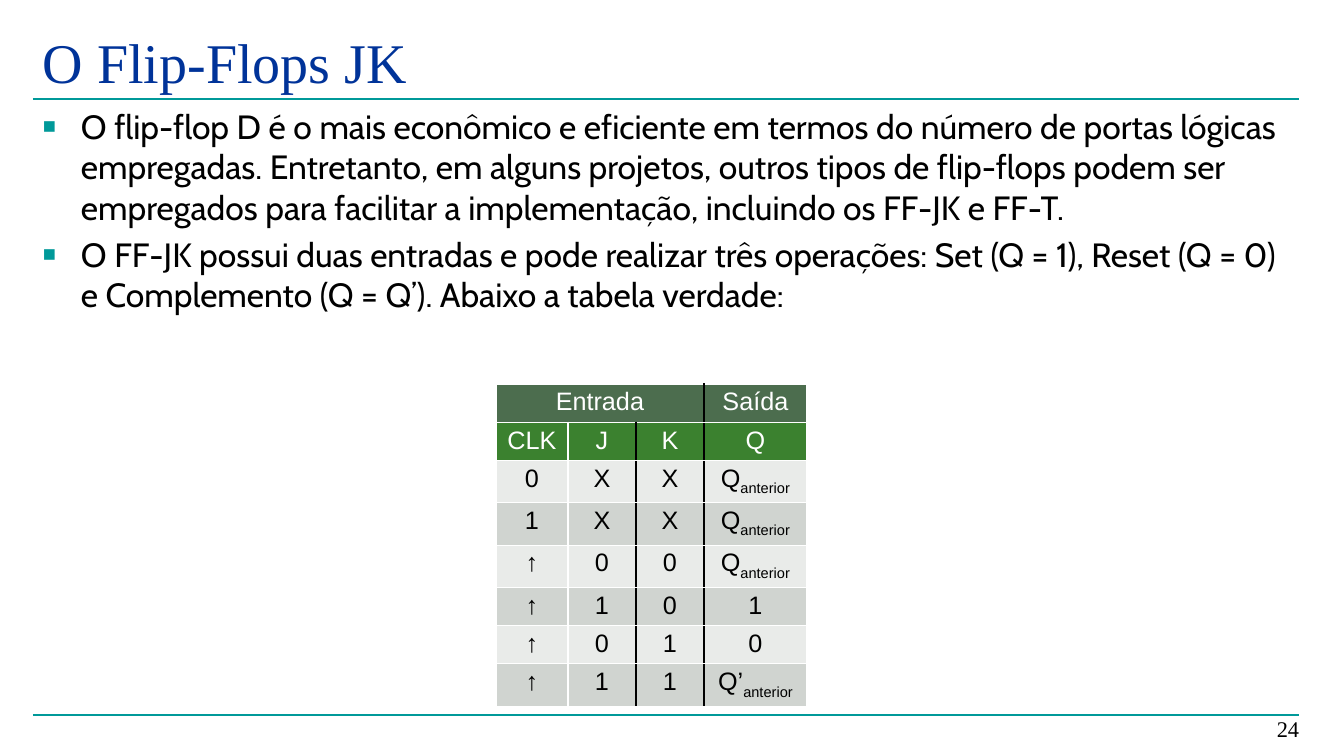
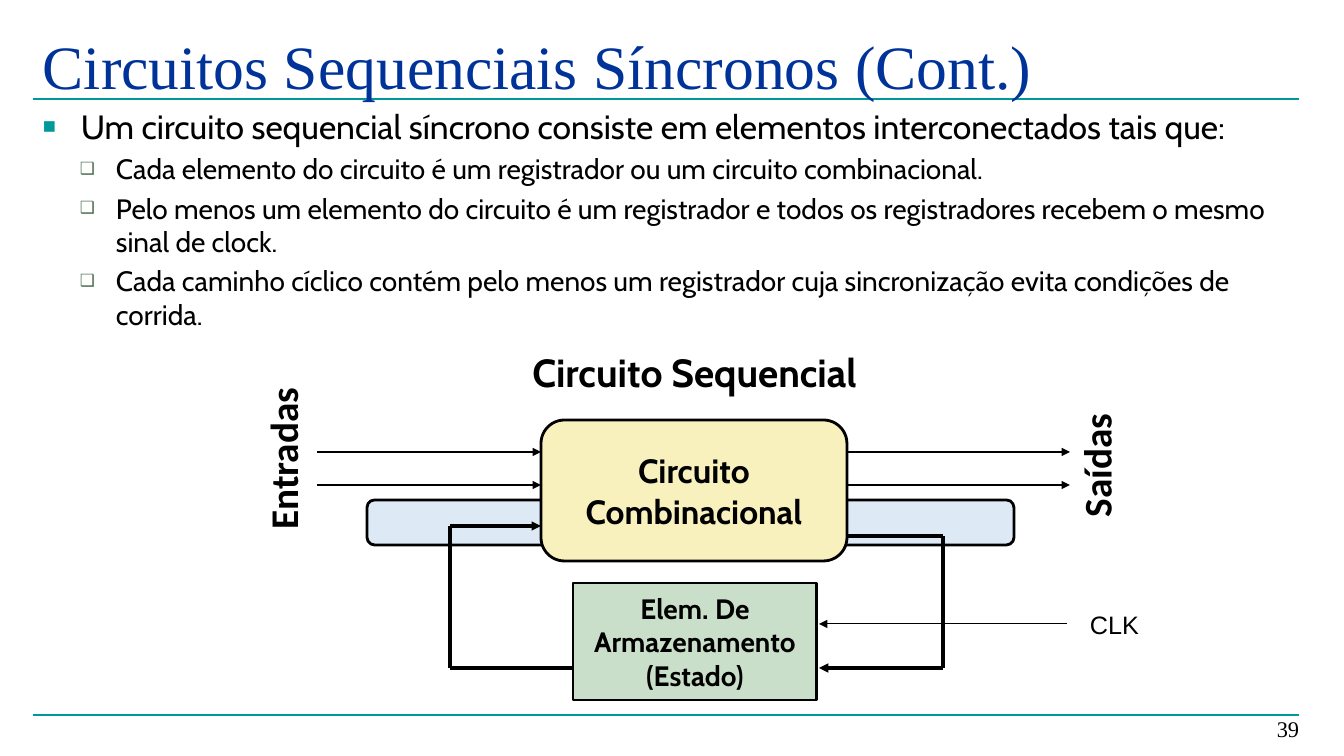
from lxml import etree
from pptx import Presentation
from pptx import util as u
from pptx.dml.color import RGBColor
from pptx.enum import shapes, text
from pptx.oxml import ns

SCALE = 914400 / 100.8
COLORS = {
    "black": "000000", "white": "FFFFFF", "teal": "009999", "navy": "003399",
    "moss": "4C6D4E", "green": "3B812F", "light": "E9EBE9", "gray": "D0D4D0",
    "blue": "DEE9F6", "yellow": "F8F0BD", "mint": "C9DFC9",
}
CENTER, RIGHT, LEFT = text.PP_ALIGN.CENTER, text.PP_ALIGN.RIGHT, text.PP_ALIGN.LEFT
TOP, MIDDLE, BOTTOM = text.MSO_ANCHOR.TOP, text.MSO_ANCHOR.MIDDLE, text.MSO_ANCHOR.BOTTOM


def write(shape, lines, font, size, color="black", bold=False, align=LEFT, anchor=TOP, wrap=True):
    frame = shape.text_frame
    frame.word_wrap = wrap
    frame.vertical_anchor = anchor
    frame.text = "\n".join(lines)
    for paragraph in frame.paragraphs:
        paragraph.alignment = align
        paragraph.font.name = font
        paragraph.font.size = u.Pt(size)
        paragraph.font.bold = bold
        paragraph.font.color.rgb = RGBColor.from_string(COLORS[color])


def draw_line(slide, points, width, color="black", arrow=False):
    line = slide.shapes.add_connector(
        shapes.MSO_CONNECTOR.STRAIGHT, *[round(value * SCALE) for value in points])
    line.line.width = u.Pt(width)
    line.line.color.rgb = RGBColor.from_string(COLORS[color])
    if arrow:
        etree.SubElement(line.line._get_or_add_ln(), ns.qn("a:tailEnd"), type="triangle")
    etree.SubElement(line._element.spPr, ns.qn("a:effectLst"))


presentation = Presentation()
presentation.slide_width = round(1344 * SCALE)
presentation.slide_height = round(756 * SCALE)

BULLETS = [
    {"char": "■", "color": "teal", "percent": 65, "margin": 38, "hang": 38, "size": 24},
    {"char": "❑", "color": "moss", "percent": 60, "margin": 73, "hang": 36, "size": 20},
]
PAGES = [
    ("O Flip-Flops JK", 40, "24", 1276, [
        (0, "O flip-flop D é o mais econômico e eficiente em termos do número de portas lógicas "
            "empregadas. Entretanto, em alguns projetos, outros tipos de flip-flops podem ser "
            "empregados para facilitar a implementação, incluindo os FF-JK e FF-T."),
        (0, "O FF-JK possui duas entradas e pode realizar três operações: Set (Q = 1), "
            "Reset (Q = 0) e Complemento (Q = Q’). Abaixo a tabela verdade:"),
    ]),
    ("Circuitos Sequenciais Síncronos (Cont.)", 44, "39", 1266, [
        (0, "Um circuito sequencial síncrono consiste em elementos interconectados tais que:"),
        (1, "Cada elemento do circuito é um registrador ou um circuito combinacional."),
        (1, "Pelo menos um elemento do circuito é um registrador e todos os registradores "
            "recebem o mesmo sinal de clock."),
        (1, "Cada caminho cíclico contém pelo menos um registrador cuja sincronização evita "
            "condições de corrida."),
    ]),
]

slides = []
for title, title_size, number, body_width, items in PAGES:
    slide = presentation.slides.add_slide(presentation.slide_layouts[6])
    slides.append(slide)
    for y in (715, 99):
        draw_line(slide, (33, y, 1299, y), 1.5, "teal")
    title_box, body_box, number_box = [
        slide.shapes.add_textbox(*[round(value * SCALE) for value in box])
        for box in ((33, 17, 1266, 80), (33, 101, body_width, 240), (996, 697, 313, 50))]
    title_box.text_frame.margin_top = round(11 * SCALE)
    write(title_box, [title], "Times New Roman", title_size, "navy")
    write(number_box, [number], "Times New Roman", 16, align=RIGHT, anchor=BOTTOM)

    body_box.text_frame.word_wrap = True
    for index, (level, sentence) in enumerate(items):
        bullet = BULLETS[level]
        frame = body_box.text_frame
        paragraph = frame.add_paragraph() if index else frame.paragraphs[0]
        paragraph.text = sentence
        paragraph.level = level
        properties = paragraph._p.get_or_add_pPr()
        properties.set("marL", str(round(bullet["margin"] * SCALE)))
        properties.set("indent", str(round(-bullet["hang"] * SCALE)))
        bullet_color = etree.SubElement(properties, ns.qn("a:buClr"))
        etree.SubElement(bullet_color, ns.qn("a:srgbClr"), val=COLORS[bullet["color"]])
        etree.SubElement(properties, ns.qn("a:buSzPct"), val=str(bullet["percent"] * 1000))
        etree.SubElement(properties, ns.qn("a:buFont"), typeface="Arial")
        etree.SubElement(properties, ns.qn("a:buChar"), char=bullet["char"])
        if index:
            paragraph.space_before = u.Pt(bullet["size"] * 0.2)
        paragraph.font.name = "Cabin"
        paragraph.font.size = u.Pt(bullet["size"])
        paragraph.font.color.rgb = RGBColor.from_string(COLORS["black"])

truth_slide, circuit_slide = slides

TRUTH_ROWS = [
    ("Entrada", "", "", "Saída"),
    ("CLK", "J", "K", "Q"),
    ("0", "X", "X", "Q_anterior"),
    ("1", "X", "X", "Q_anterior"),
    ("↑", "0", "0", "Q_anterior"),
    ("↑", "1", "0", "1"),
    ("↑", "0", "1", "0"),
    ("↑", "1", "1", "Q’_anterior"),
]
COLUMN_WIDTHS = (72, 68, 68, 103)
row_heights = [42 if "_" in row[3] else 38 for row in TRUTH_ROWS]
table_box = (496, 384, sum(COLUMN_WIDTHS), sum(row_heights))
table = truth_slide.shapes.add_table(
    len(TRUTH_ROWS), len(COLUMN_WIDTHS), *[round(value * SCALE) for value in table_box]).table
table.first_row = table.horz_banding = False
for column, width in zip(table.columns, COLUMN_WIDTHS):
    column.width = round(width * SCALE)
for row, height in zip(table.rows, row_heights):
    row.height = round(height * SCALE)
table.cell(0, 0).merge(table.cell(0, 2))

for r, values in enumerate(TRUTH_ROWS):
    fill = ("moss", "green")[r] if r < 2 else ("light", "gray")[r % 2]
    black_edges = (2, 3) if r else (3,)
    for c, value in enumerate(values):
        cell = table.cell(r, c)
        cell.margin_top = cell.margin_bottom = round(4 * SCALE)
        right_edge = c + 1 if r else max(3, c + 1)
        properties = cell._tc.get_or_add_tcPr()
        for side, black in (("L", c in black_edges), ("R", right_edge in black_edges),
                            ("T", False), ("B", False)):
            border = etree.SubElement(
                properties, ns.qn("a:ln" + side), w=str(u.Pt(2.25 if black else 1)))
            solid = etree.SubElement(border, ns.qn("a:solidFill"))
            etree.SubElement(solid, ns.qn("a:srgbClr"),
                             val=COLORS["black" if black else "white"])
        cell.fill.solid()
        cell.fill.fore_color.rgb = RGBColor.from_string(COLORS[fill])
        paragraph = cell.text_frame.paragraphs[0]
        paragraph.alignment = CENTER
        paragraph.font.name = "Arial"
        paragraph.font.size = u.Pt(18)
        paragraph.font.color.rgb = RGBColor.from_string(COLORS["white" if r < 2 else "black"])
        base, _, subscript = value.partition("_")
        if base:
            paragraph.add_run().text = base
        if subscript:
            run = paragraph.add_run()
            run.text = subscript
            run._r.get_or_add_rPr().set("baseline", "-25000")

ROUNDED, RECTANGLE = shapes.MSO_SHAPE.ROUNDED_RECTANGLE, shapes.MSO_SHAPE.RECTANGLE
BLOCKS = [
    (ROUNDED, (367, 500, 647, 45), "blue", [], 20),
    (ROUNDED, (541, 420, 306, 141), "yellow", ["Circuito", "Combinacional"], 24),
    (RECTANGLE, (573, 583, 244, 117), "mint", ["Elem. De", "Armazenamento", "(Estado)"], 20),
]
for kind, box, fill, lines, size in BLOCKS:
    block = circuit_slide.shapes.add_shape(kind, *[round(value * SCALE) for value in box])
    block.shadow.inherit = False
    block.fill.solid()
    block.fill.fore_color.rgb = RGBColor.from_string(COLORS[fill])
    block.line.color.rgb = RGBColor.from_string(COLORS["black"])
    block.line.width = u.Pt(2)
    if lines:
        write(block, lines, "Cabin", size, bold=True, align=CENTER, anchor=MIDDLE, wrap=False)

LABELS = [
    ("Circuito Sequencial", (449, 343, 491, 60), 0, "Cabin", 28, True, CENTER),
    ("Entradas", (201, 430, 163, 57), 270, "Calibri", 28, True, CENTER),
    ("Saídas", (1020, 437, 152, 57), 270, "Calibri", 28, True, CENTER),
    ("CLK", (1080, 604, 70, 40), 0, "Arial", 18, False, LEFT),
]
for label, box, rotation, font, size, bold, align in LABELS:
    label_box = circuit_slide.shapes.add_textbox(*[round(value * SCALE) for value in box])
    label_box.rotation = rotation
    write(label_box, [label], font, size, bold=bold, align=align, wrap=label != "CLK")

for start, end in ((317, 541), (847, 1070)):
    for y in (452, 485):
        draw_line(circuit_slide, (start, y, end, y), 1, arrow=True)

FEEDBACK_ROUTES = [
    [(847, 536), (943, 536), (943, 668), (819, 668)],
    [(573, 668), (450, 668), (450, 526), (541, 526)],
]
for route in FEEDBACK_ROUTES:
    for start, end in zip(route, route[1:]):
        draw_line(circuit_slide, start + end, 2.25, arrow=end == route[-1])
draw_line(circuit_slide, (1067, 624, 819, 624), 0.75, arrow=True)

presentation.save("out.pptx")
